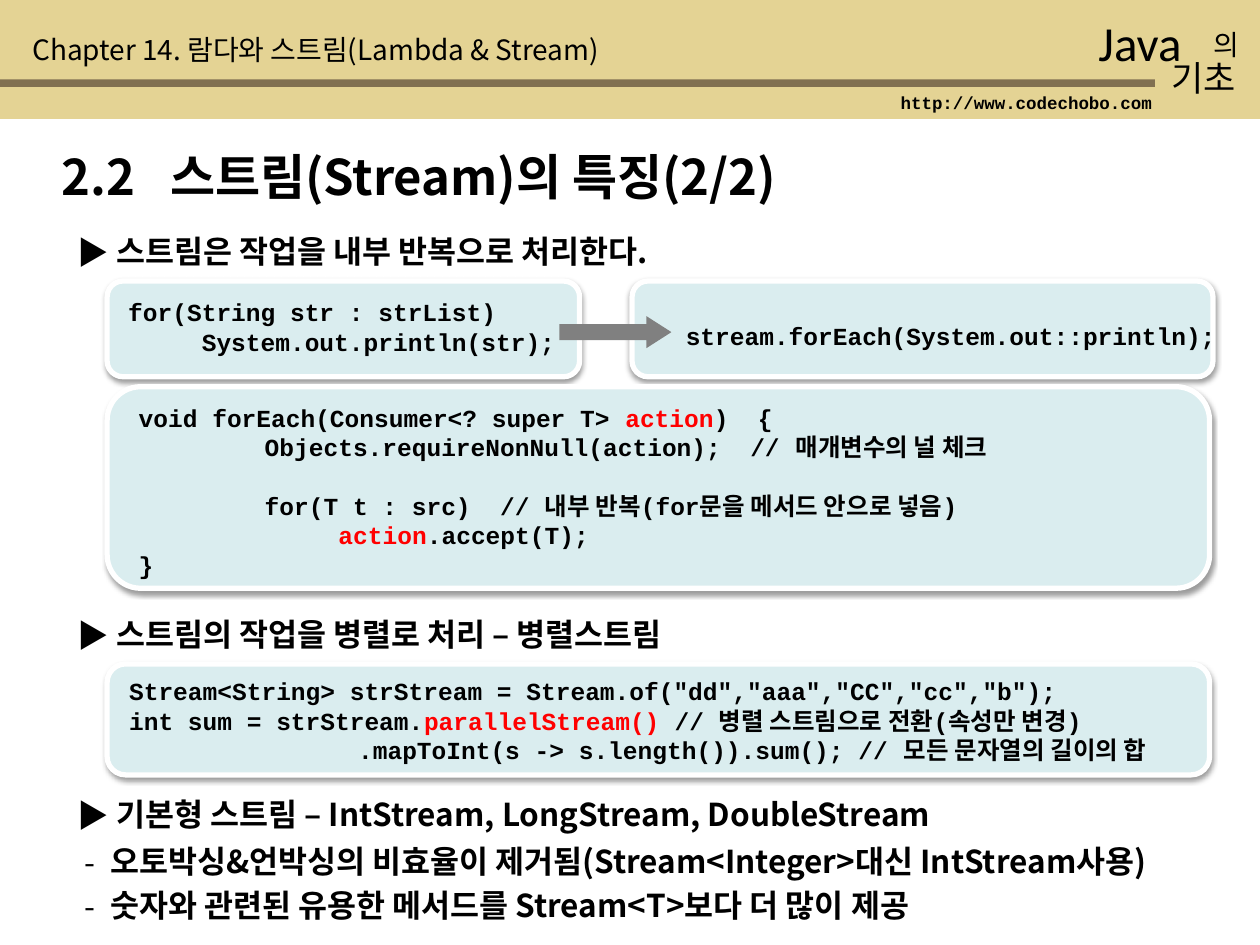
from lxml import etree
from pptx import Presentation
from pptx.dml.color import RGBColor
from pptx.enum import shapes, text
from pptx.oxml import ns
from pptx.util import Pt

SAND = RGBColor(0xE4, 0xD3, 0x94)
BROWN = RGBColor(0x81, 0x70, 0x51)
PALE_BLUE = RGBColor(0xDA, 0xED, 0xEF)
GRAY = RGBColor(0x80, 0x80, 0x80)
WHITE = RGBColor(0xFF, 0xFF, 0xFF)
BLACK = RGBColor(0, 0, 0)
RED = RGBColor(0xFF, 0, 0)

KOREAN = "Noto Sans CJK KR"
CODE = "Courier New"

FOR_LOOP = ["for(String str : strList)", "     System.out.println(str);"]
FOR_EACH_CALL = ["stream.forEach(System.out::println);"]
FOR_EACH_BODY = [
    "void forEach(Consumer<? super T> |action|)  {",
    "\tObjects.requireNonNull(action);  // 매개변수의 널 체크",
    "",
    "\tfor(T t : src)  // 내부 반복(for문을 메서드 안으로 넣음)",
    "\t     |action|.accept(T);",
    "}",
]
PARALLEL = [
    'Stream<String> strStream = Stream.of("dd","aaa","CC","cc","b");',
    "int sum = strStream.|parallelStream()| // 병렬 스트림으로 전환(속성만 변경)",
    "\t       .mapToInt(s -> s.length()).sum(); // 모든 문자열의 길이의 합",
]


def add_element(parent, tag, **attributes):
    return etree.SubElement(parent, ns.qn(tag), attributes)


def add_tab_stop(paragraph, position):
    tabs = add_element(paragraph._p.get_or_add_pPr(), "a:tabLst")
    add_element(tabs, "a:tab", pos=str(Pt(position)), algn="l")


def style(font, size, name=KOREAN, bold=False, color=BLACK):
    font.size, font.name, font.bold = Pt(size), name, bold
    font.color.rgb = color


def style_runs(paragraph, size, name=KOREAN, bold=False):
    for run in paragraph.runs:
        style(run.font, size, name, bold)
        add_element(run.font._element, "a:ea", typeface=KOREAN)


def add_label(slide, left, top, width, height, wording, size, name=KOREAN, bold=False):
    frame = slide.shapes.add_textbox(Pt(left), Pt(top), Pt(width), Pt(height)).text_frame
    frame.word_wrap = True
    frame.text = wording
    style_runs(frame.paragraphs[0], size, name, bold)
    return frame


def add_filled(slide, kind, left, top, width, height, color):
    shape = slide.shapes.add_shape(kind, Pt(left), Pt(top), Pt(width), Pt(height))
    shape.shadow.inherit = False
    shape.fill.solid()
    shape.fill.fore_color.rgb = color
    shape.line.fill.background()
    return shape


def add_header(slide, left, top, width, height):
    rectangle = shapes.MSO_SHAPE.RECTANGLE
    add_filled(slide, rectangle, left, top, width, height, SAND)
    add_filled(slide, rectangle, left, top + 45.3, width - 60, 4.4, BROWN)
    add_label(slide, left + 11.5, top + 15, 448, 27,
              "Chapter 14. 람다와 스트림(Lambda & Stream)", 16)
    right = left + width
    add_label(slide, right - 99.4, top + 3.6, 96, 41, "Java", 28, "Calibri")
    add_label(slide, right - 33.8, top + 12.2, 42, 27, "의", 16)
    add_label(slide, right - 57.6, top + 28.8, 64, 31, "기초", 20)
    add_label(slide, right - 212.4, top + 49, 158, 19,
              "http://www.codechobo.com", 10, CODE, True)


def add_title(slide, left, top, width, height, number, wording):
    title = slide.shapes.title
    title.left, title.top, title.width, title.height = map(Pt, (left, top, width, height))
    frame = title.text_frame
    frame.auto_size = text.MSO_AUTO_SIZE.NONE
    frame.vertical_anchor = text.MSO_ANCHOR.TOP
    frame.text = f"{number}\t{wording}"
    paragraph = frame.paragraphs[0]
    paragraph.alignment = text.PP_ALIGN.LEFT
    add_tab_stop(paragraph, 62)
    style_runs(paragraph, 28, bold=True)


def add_point(slide, left, top, width, wording, marker="▶", hang=22):
    frame = add_label(slide, left, top, width, 29, wording, 18, bold=True)
    properties = frame.paragraphs[0]._p.get_or_add_pPr()
    properties.set("marL", str(Pt(hang)))
    properties.set("indent", str(-Pt(hang)))
    add_element(properties, "a:buFont", typeface=KOREAN)
    add_element(properties, "a:buChar", char=marker)


def add_code_panel(slide, left, top, width, height, lines, inset, shift=0):
    """Draw a shadowed panel; its code is indented by inset and lowered by shift."""
    panel = add_filled(slide, shapes.MSO_SHAPE.ROUNDED_RECTANGLE,
                       left, top, width, height, PALE_BLUE)
    panel.line.color.rgb = WHITE
    panel.line.width = Pt(3)
    effects = panel._element.spPr.find(ns.qn("a:effectLst"))
    shadow = add_element(effects, "a:outerShdw", blurRad=str(Pt(3.1)),
                         dist=str(Pt(1.6)), dir="5400000", rotWithShape="0")
    tint = add_element(shadow, "a:srgbClr", val=str(BLACK))
    add_element(tint, "a:alpha", val="38000")

    code = slide.shapes.add_textbox(Pt(left + inset), Pt(top + shift),
                                    Pt(width + 8), Pt(height))
    frame = code.text_frame
    frame.word_wrap = True
    frame.vertical_anchor = text.MSO_ANCHOR.MIDDLE
    for index, line in enumerate(lines):
        paragraph = frame.add_paragraph() if index else frame.paragraphs[0]
        add_tab_stop(paragraph, 72)
        style(paragraph.font, 14, CODE, True)
        # Words between bars are highlighted.
        parts = line.split("|") if line else []
        for part in parts:
            paragraph.add_run().text = part
        style_runs(paragraph, 14, CODE, True)
        for run in paragraph.runs[1::2]:
            run.font.color.rgb = RED


def add_loop_comparison(slide, left, top, width, height):
    add_code_panel(slide, left, top, 270, height, FOR_LOOP, 5, -1.2)
    add_code_panel(slide, left + 300, top, width - 300, height, FOR_EACH_CALL, 23.6, 3.6)
    arrow = add_filled(slide, shapes.MSO_SHAPE.RIGHT_ARROW,
                       left + 258.5, top + 20, 64, 18.4, GRAY)
    arrow.adjustments[0] = 0.5
    arrow.adjustments[1] = 0.78


def main():
    deck = Presentation()
    deck.slide_width, deck.slide_height = Pt(720), Pt(540)
    slide = deck.slides.add_slide(deck.slide_layouts[5])

    add_header(slide, 0, 0, 720, 68)
    add_title(slide, 28, 80, 675, 41, "2.2", "스트림(Stream)의 특징(2/2)")

    add_point(slide, 37.4, 129, 678, "스트림은 작업을 내부 반복으로 처리한다.")
    add_loop_comparison(slide, 61.2, 160.6, 632, 54.7)
    add_code_panel(slide, 61.2, 221, 630, 115.2, FOR_EACH_BODY, 11, 2)

    add_point(slide, 37.4, 348, 678, "스트림의 작업을 병렬로 처리 – 병렬스트림")
    add_code_panel(slide, 61.2, 379.4, 630, 63.4, PARALLEL, 5.5, 0.5)

    add_point(slide, 37.4, 450.7, 678,
              "기본형 스트림 – IntStream, LongStream, DoubleStream")
    details = ["오토박싱&언박싱의 비효율이 제거됨(Stream<Integer>대신 IntStream사용)",
               "숫자와 관련된 유용한 메서드를 Stream<T>보다 더 많이 제공"]
    for index, detail in enumerate(details):
        add_point(slide, 41.5, 477.4 + 25.4 * index, 678, detail, "-", 14.5)

    deck.save("out.pptx")


if __name__ == "__main__":
    main()
